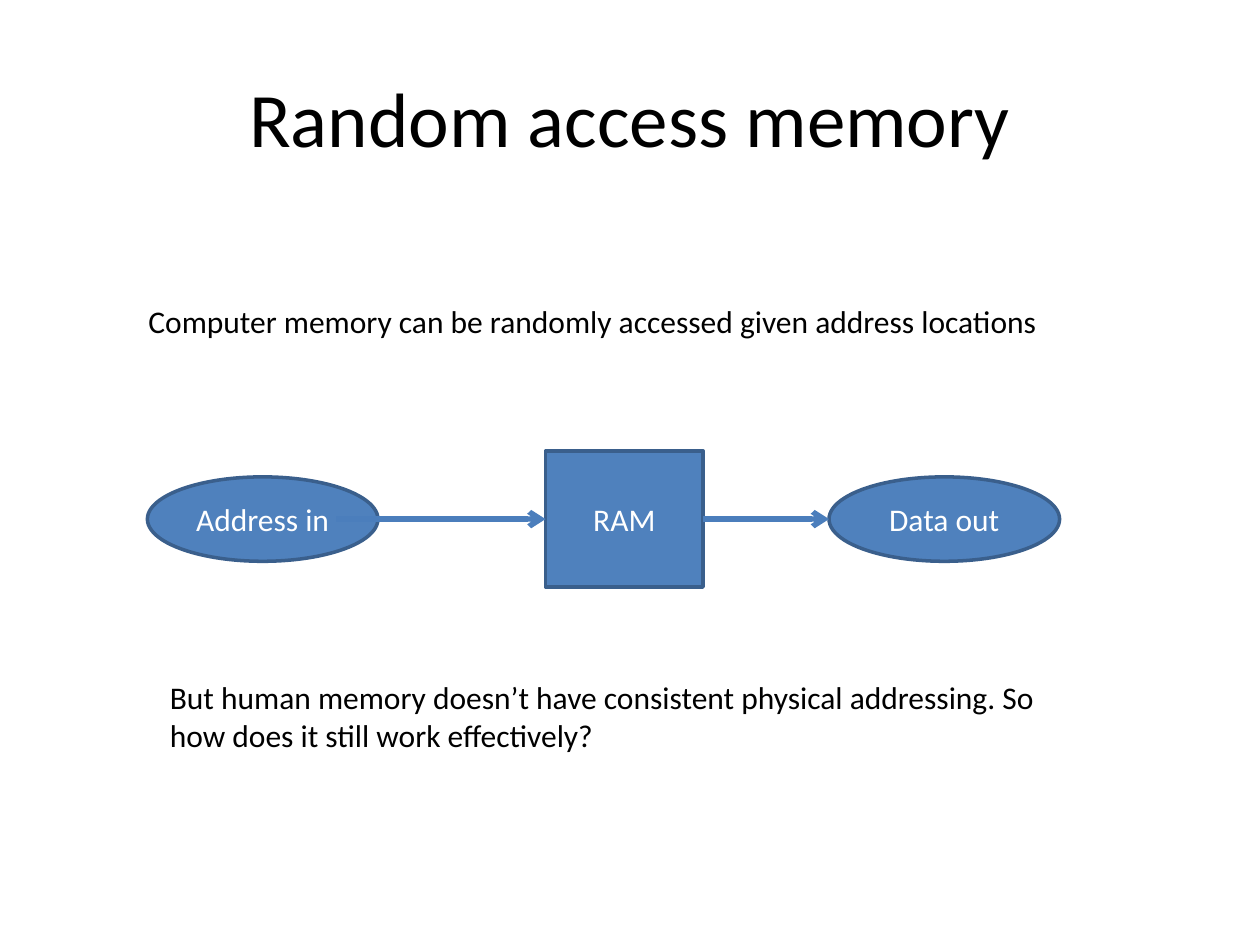
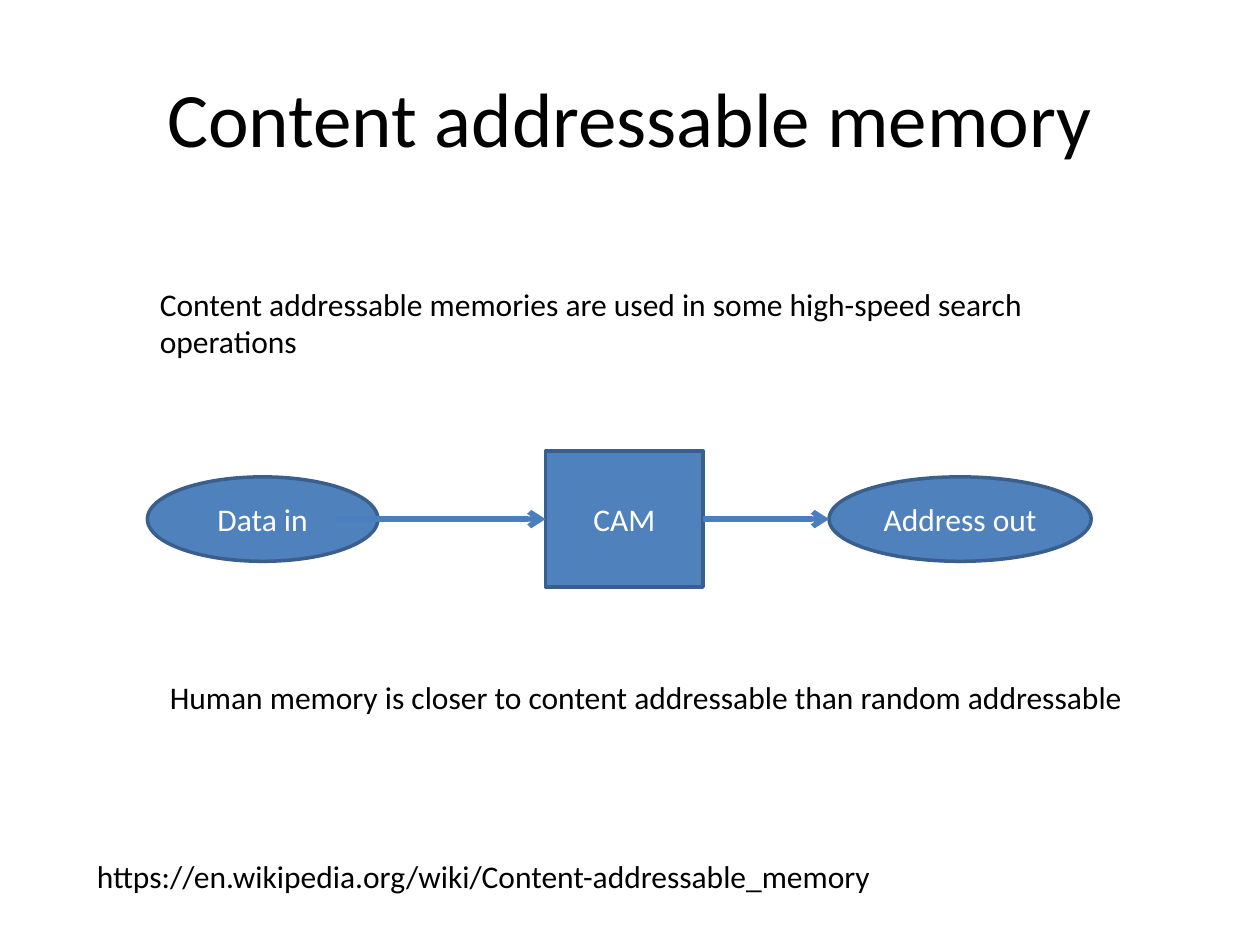
import dataclasses
import typing

import pptx
import pptx.dml.color
import pptx.enum.shapes
import pptx.enum.text
import pptx.oxml.ns
import pptx.presentation
import pptx.slide
import pptx.util
from lxml import etree

Inches = pptx.util.Inches
Kind = pptx.enum.shapes.MSO_SHAPE
Align = pptx.enum.text.PP_ALIGN
Anchor = pptx.enum.text.MSO_ANCHOR

# Shared look
FONT = "Calibri"
COLORS = {
    "ink": "000000",
    "paper": "FFFFFF",
    "fill": "4F81BD",
    "edge": "3A5F8C",
    "arrow": "4B7EBC",
}

# Flow diagram geometry, in inches
MID = 4.12
BOX_LEFT, BOX_WIDTH, BOX_HEIGHT = 4.33, 1.25, 1.08
IN_LEFT, IN_WIDTH = 1.17, 1.83
OUT_LEFT = 6.58
OVAL_HEIGHT = 0.67
START = 2.67


@dataclasses.dataclass
class Note:
    text: str
    left: float
    top: float
    width: float
    height: float = 0.4


@dataclasses.dataclass
class Page:
    title: str
    source: str
    store: str
    result: str
    out_width: float
    notes: list[Note]


PAGES = [
    Page("Random access memory", "Address in", "RAM", "Data out", 1.83, [
        Note("Computer memory can be randomly accessed given address locations",
             1.08, 2.35, 7.33),
        Note("But human memory doesn’t have consistent physical addressing. "
             "So how does it still work effectively?", 1.25, 5.33, 7.33, 0.71),
    ]),
    Page("Content addressable memory", "Data in", "CAM", "Address out", 2.08, [
        Note("Content addressable memories are used in some high-speed search operations",
             1.17, 2.21, 7.25, 0.71),
        Note("https://en.wikipedia.org/wiki/Content-addressable_memory",
             0.67, 6.75, 8.5),
        Note("Human memory is closer to content addressable than random addressable",
             1.25, 5.33, 8),
    ]),
]


def paint(color: str) -> pptx.dml.color.RGBColor:
    return pptx.dml.color.RGBColor.from_string(COLORS[color])


def write(shape: typing.Any, text: str, *, size: int = 18, color: str = "ink",
          align: Align = Align.LEFT, anchor: Anchor = Anchor.TOP) -> None:
    frame = shape.text_frame
    frame.word_wrap = True
    frame.vertical_anchor = anchor
    para = frame.paragraphs[0]
    para.alignment = align
    run = para.add_run()
    run.text = text
    run.font.name = FONT
    run.font.size = pptx.util.Pt(size)
    run.font.color.rgb = paint(color)


def add_note(slide: pptx.slide.Slide, note: Note, **style: typing.Any) -> None:
    box = slide.shapes.add_textbox(Inches(note.left), Inches(note.top),
                                   Inches(note.width), Inches(note.height))
    write(box, note.text, **style)


def add_node(slide: pptx.slide.Slide, kind: Kind, text: str,
             left: float, width: float, height: float) -> typing.Any:
    """Draw a labelled shape centred on the flow's middle line."""
    node = slide.shapes.add_shape(kind, Inches(left), Inches(MID - height / 2),
                                  Inches(width), Inches(height))
    node.shadow.inherit = False
    node.fill.solid()
    node.fill.fore_color.rgb = paint("fill")
    node.line.color.rgb = paint("edge")
    node.line.width = pptx.util.Pt(2)
    write(node, text, color="paper", align=Align.CENTER, anchor=Anchor.MIDDLE)
    return node


def add_arrow(slide: pptx.slide.Slide, start: float, end: float) -> typing.Any:
    arrow = slide.shapes.add_connector(
        pptx.enum.shapes.MSO_CONNECTOR.STRAIGHT,
        Inches(start), Inches(MID), Inches(end), Inches(MID))
    arrow.line.color.rgb = paint("arrow")
    arrow.line.width = pptx.util.Pt(3)
    qn = pptx.oxml.ns.qn
    etree.SubElement(arrow.line._get_or_add_ln(), qn("a:tailEnd"), type="arrow")
    etree.SubElement(arrow._element.spPr, qn("a:effectLst"))
    return arrow


def add_flow(slide: pptx.slide.Slide, page: Page) -> None:
    box = add_node(slide, Kind.RECTANGLE, page.store, BOX_LEFT, BOX_WIDTH, BOX_HEIGHT)
    add_node(slide, Kind.OVAL, page.source, IN_LEFT, IN_WIDTH, OVAL_HEIGHT)
    add_node(slide, Kind.OVAL, page.result, OUT_LEFT, page.out_width, OVAL_HEIGHT)
    add_arrow(slide, START, BOX_LEFT).end_connect(box, 1)
    add_arrow(slide, BOX_LEFT + BOX_WIDTH, OUT_LEFT).begin_connect(box, 3)


def add_page(deck: pptx.presentation.Presentation, page: Page) -> None:
    slide = deck.slides.add_slide(deck.slide_layouts[6])
    slide.background.fill.solid()
    slide.background.fill.fore_color.rgb = paint("paper")
    add_note(slide, Note(page.title, 0.5, 0.3, 9, 1.25),
             size=44, align=Align.CENTER, anchor=Anchor.MIDDLE)
    add_flow(slide, page)
    for note in page.notes:
        add_note(slide, note)


def main() -> None:
    deck = pptx.Presentation()
    deck.slide_width = Inches(10)
    deck.slide_height = Inches(7.5)
    for page in PAGES:
        add_page(deck, page)
    deck.save("out.pptx")


if __name__ == "__main__":
    main()
